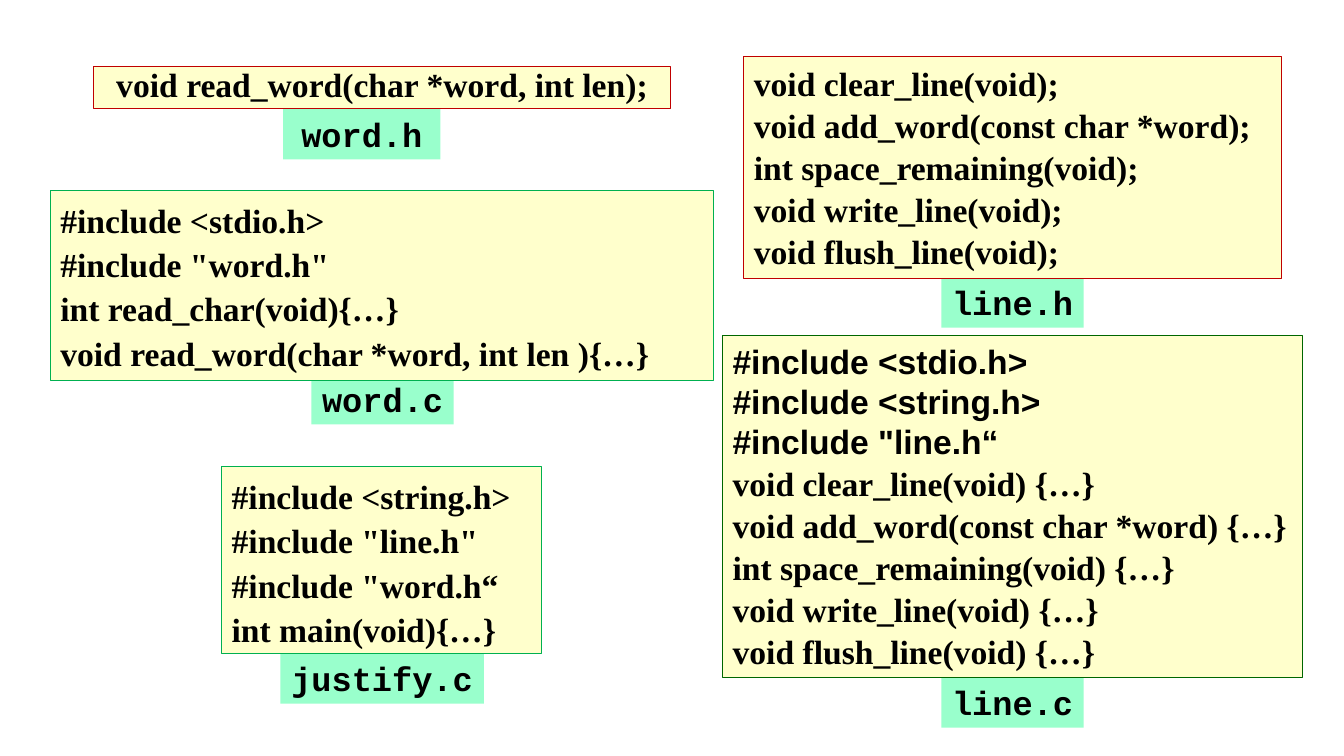
from pptx import Presentation
from pptx.dml.color import RGBColor
from pptx.enum.text import MSO_ANCHOR, PP_ALIGN as Align
from pptx.util import Pt

COLORS = {
    "text": "000000",
    "label": "99FFCC",
    "code": "FFFFCC",
    "header": "C00000",
    "source": "00B050",
    "line_source": "006600",
}
LABEL_HEIGHT = 36
PROTOTYPES = [
    "void clear_line(void)",
    "void add_word(const char *word)",
    "int space_remaining(void)",
    "void write_line(void)",
    "void flush_line(void)",
]


def color(name):
    """Return the named colour."""
    return RGBColor.from_string(COLORS[name])


def add_box(page, left, top, width, height, fill, outline=None, wrap=True):
    """Add a filled text box, with a thin outline if one is named."""
    box = page.shapes.add_textbox(Pt(left), Pt(top), Pt(width), Pt(height))
    box.fill.solid()
    box.fill.fore_color.rgb = color(fill)
    if outline:
        box.line.color.rgb = color(outline)
        box.line.width = Pt(0.75)
    box.text_frame.word_wrap = wrap
    box.text_frame.vertical_anchor = MSO_ANCHOR.TOP
    return box


def write(box, lines, font="Times New Roman", align=Align.LEFT, spacing=None, before=0):
    """Append bold lines of text to a box."""
    frame = box.text_frame
    for line in lines:
        para = frame.paragraphs[0]
        if para.runs:
            para = frame.add_paragraph()
        para.alignment = align
        para.line_spacing = spacing
        para.space_before = Pt(before)
        span = para.add_run()
        span.text = line
        span.font.name = font
        span.font.size = Pt(24)
        span.font.bold = True
        span.font.color.rgb = color("text")


def add_file(page, name, label, area, outline):
    """Add a file label (left, top, width) and return the code box over it."""
    tag = add_box(page, *label, LABEL_HEIGHT, "label", wrap=False)
    write(tag, [name], font="Courier New", align=Align.CENTER)
    return add_box(page, *area, "code", outline)


def main():
    """Build the slide of program files."""
    deck = Presentation()
    deck.slide_width, deck.slide_height = Pt(960), Pt(540)
    page = deck.slides.add_slide(deck.slide_layouts[6])

    word_header = add_file(page, "word.h", (202.3, 77.8, 112.3),
                           (67, 47.5, 411.8, 30.2), "header")
    write(word_header, ["void read_word(char *word, int len);"],
          align=Align.CENTER, spacing=0.8, before=4)

    line_header = add_file(page, "line.h", (672.5, 198, 101.5),
                           (531.4, 40.3, 383.8, 158.4), "header")
    write(line_header, [f"{item};" for item in PROTOTYPES], spacing=Pt(30))

    justify_source = add_file(page, "justify.c", (200.2, 466.6, 145.4),
                              (158.4, 333.4, 228.2, 133.2), "source")
    write(justify_source, ["#include <string.h>", '#include "line.h"',
                           '#include "word.h“', "int main(void){…}"], spacing=1.1)

    word_source = add_file(page, "word.c", (222.5, 267.1, 101.5),
                           (36, 136.1, 473.8, 135.4), "source")
    write(word_source, ["#include <stdio.h>", '#include "word.h"',
                        "int read_char(void){…}",
                        "void read_word(char *word, int len ){…}"], spacing=1.1)

    line_source = add_file(page, "line.c", (672.5, 483.8, 101.5),
                           (516.2, 239.8, 414, 244.1), "line_source")
    write(line_source, ["#include <stdio.h>", "#include <string.h>",
                        '#include "line.h“'], font="Arial")
    write(line_source, [f"{item} {{…}}" for item in PROTOTYPES], spacing=Pt(30))

    deck.save("out.pptx")


if __name__ == "__main__":
    main()
